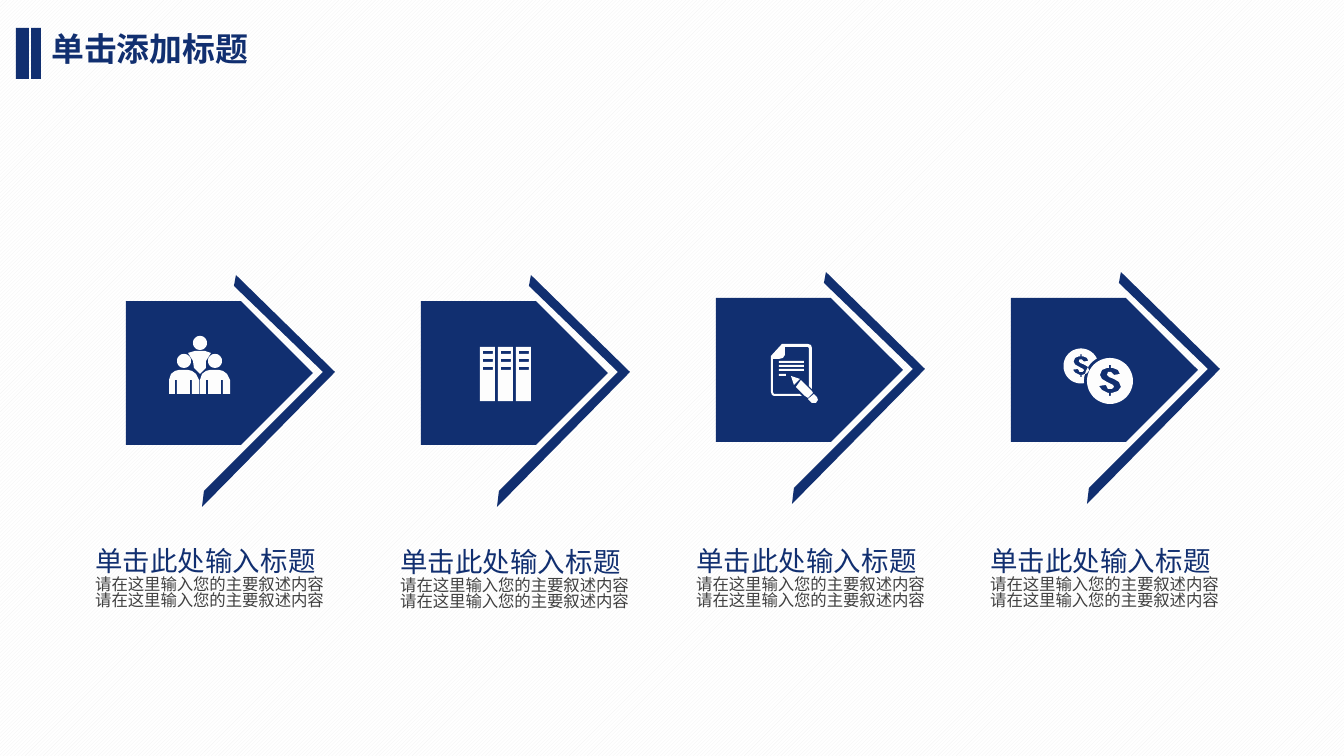
"""Build a slide with four icon arrows in a row, each with a caption."""
from math import cos, hypot, pi, sin

from lxml import etree
from pptx import Presentation
from pptx.dml.color import RGBColor
from pptx.enum.dml import MSO_PATTERN
from pptx.enum.shapes import MSO_SHAPE
from pptx.oxml.ns import qn
from pptx.util import Pt

RECTANGLE = MSO_SHAPE.RECTANGLE
PENTAGON = MSO_SHAPE.PENTAGON
LIGHT_DIAGONAL = MSO_PATTERN.LIGHT_UPWARD_DIAGONAL
FONT = "Noto Sans CJK SC"
NAVY, GRAY, ICON_WHITE = "112F70", "404040", "FDFDFD"
EMU_PER_PX = 914400 / 134.4
SUBDIVISION = 10
COLUMN_STEP = 295

TITLE = "单击添加标题"
TITLE_BARS = [(16, 28, 13, 51), (31, 28, 10, 51)]
HEADING = "单击此处输入标题"
DETAIL = "请在这里输入您的主要叙述内容"
CAPTION_LINES = [(HEADING, 14.7, NAVY), (DETAIL, 8.8, GRAY), (DETAIL, 8.8, GRAY)]
CAPTION_POSITIONS = [(82, 543), (387, 544), (683, 543), (977, 543)]
ARROW_TOPS = [301, 301, 298, 298]
CHEVRON = [(110, -26), (209, 71), (76, 206), (78, 190), (197, 71), (108, -15)]

TORSO = [(195, 351), (205, 351), (211, 353), (206, 361), (206, 368), (200, 374),
         (194, 368), (193, 361), (188, 353)]
PERSON = [(169, 394), (169, 380), (171, 374), (175, 371), (179, 370), (188, 370),
          (192, 371), (196, 374), (199, 380), (199, 394), (192, 394), (192, 380),
          (190, 380), (190, 394), (177, 394), (177, 380), (175, 380), (175, 394)]
PAGE = [(773, 359), (779, 359), (783, 358), (785, 355), (785, 347), (808, 347),
        (809, 348), (809, 386), (812, 389), (812, 348), (811, 345), (808, 344),
        (782, 344), (771, 356), (771, 392), (772, 395), (774, 396), (802, 396),
        (800, 394), (774, 394), (773, 392)]
PENCIL = [[(791, 376), (800, 379), (794, 385)],
          [(801, 380), (812, 391), (813, 393), (808, 398), (805, 396), (796, 387)],
          [(814, 394), (817, 397), (818, 400), (816, 403), (812, 403), (808, 399)]]
DOLLAR = [(10, -7), (4, -6), (1, -9), (-2, -9), (-3, -6), (-1, -4), (4, -2), (9, 1),
          (11, 6), (8, 10), (2, 12), (1, 12), (1, 15), (-1, 15), (-1, 12), (-2, 12),
          (-8, 9), (-11, 5), (-4, 4), (-2, 8), (2, 8), (4, 6), (3, 4), (-3, 1),
          (-8, -2), (-10, -6), (-8, -11), (-3, -13), (-1, -13), (-1, -16), (1, -16),
          (1, -13), (3, -13), (8, -11)]
BIG_COIN, SMALL_COIN, COIN_GAP_RADIUS = (1110, 381), (1081, 366), 26


def px(value):
    return round(value * EMU_PER_PX)


def color(value):
    return RGBColor.from_string(value)


def move(points, left, top, scale=1):
    return [(left + x * scale, top + y * scale) for x, y in points]


def circle(center, radius, count=48):
    angles = [2 * pi * index / count for index in range(count)]
    return move([(cos(angle), sin(angle)) for angle in angles], *center, radius)


def box(left, top, width, height):
    return [(left, top), (left + width, top),
            (left + width, top + height), (left, top + height)]


def push_out(point, center, radius):
    """Keep a point at least the given radius away from a centre."""
    offset_x, offset_y = point[0] - center[0], point[1] - center[1]
    factor = max(1, radius / hypot(offset_x, offset_y))
    return center[0] + offset_x * factor, center[1] + offset_y * factor


def people_icon():
    heads = [circle(center, 7) for center in [(200, 343), (184, 361), (215, 361)]]
    return heads + [TORSO, PERSON, move(PERSON, 31, 0)]


def binders_icon():
    lefts = [480, 498, 516]
    labels = [box(left + 3, top, 10, 3) for left in lefts for top in (351, 359, 367)]
    return [box(left, 347, 15, 54) for left in lefts] + labels


def document_icon():
    lines = [box(779, top, 25, 2) for top in (361, 365, 369)]
    return [PAGE, *lines, box(779, 374, 7, 2), *PENCIL]


def coins_icon():
    crescent = [push_out(point, BIG_COIN, COIN_GAP_RADIUS)
                for point in circle(SMALL_COIN, 17.5)]
    return [circle(BIG_COIN, 23), move(DOLLAR, *BIG_COIN),
            crescent, move(DOLLAR, *SMALL_COIN, 0.74)]


def style(shape, fill):
    shape.shadow.inherit = False
    shape.fill.solid()
    shape.fill.fore_color.rgb = color(fill)
    shape.line.fill.background()


def add_preset(shapes, kind, bounds, fill=NAVY):
    style(shapes.add_shape(kind, *map(px, bounds)), fill)


def add_outline(shapes, contours, fill):
    fine = [move(points, 0, 0, SUBDIVISION) for points in contours]
    builder = shapes.build_freeform(*fine[0][0], scale=EMU_PER_PX / SUBDIVISION)
    builder.add_line_segments(fine[0][1:])
    for points in fine[1:]:
        builder.move_to(*points[0])
        builder.add_line_segments(points[1:])
    style(builder.convert_to_shape(), fill)


def add_text(shapes, lines, bounds, bold=False, spacing=0.84):
    frame = shapes.add_textbox(*map(px, bounds)).text_frame
    frame.word_wrap = True
    for index, (text, size, text_color) in enumerate(lines):
        paragraph = frame.add_paragraph() if index else frame.paragraphs[0]
        paragraph.line_spacing = spacing
        run = paragraph.add_run()
        run.text = text
        run.font.size, run.font.bold, run.font.name = Pt(size), bold, FONT
        run.font.color.rgb = color(text_color)
        etree.SubElement(run.font._element, qn("a:ea"), typeface=FONT)


def main():
    presentation = Presentation()
    presentation.slide_width, presentation.slide_height = px(1344), px(756)
    slide = presentation.slides.add_slide(presentation.slide_layouts[6])
    background = slide.background.fill
    background.patterned()
    background.pattern = LIGHT_DIAGONAL
    background.fore_color.rgb = color("F2F2F2")
    background.back_color.rgb = color("FFFFFF")

    add_text(slide.shapes, [(TITLE, 17.6, NAVY)], (38, 28, 325, 54), bold=True)
    for bounds in TITLE_BARS:
        add_preset(slide.shapes, RECTANGLE, bounds)

    icons = [people_icon(), binders_icon(), document_icon(), coins_icon()]
    for index, (top, icon) in enumerate(zip(ARROW_TOPS, icons)):
        left = 126 + index * COLUMN_STEP
        group = slide.shapes.add_group_shape()
        add_outline(group.shapes, [move(CHEVRON, left, top)], NAVY)
        add_preset(group.shapes, PENTAGON, (left, top, 187, 144))
        add_outline(group.shapes, icon, ICON_WHITE)
    for position in CAPTION_POSITIONS:
        add_text(slide.shapes, CAPTION_LINES, (*position, 261, 140))
    presentation.save("out.pptx")


if __name__ == "__main__":
    main()
